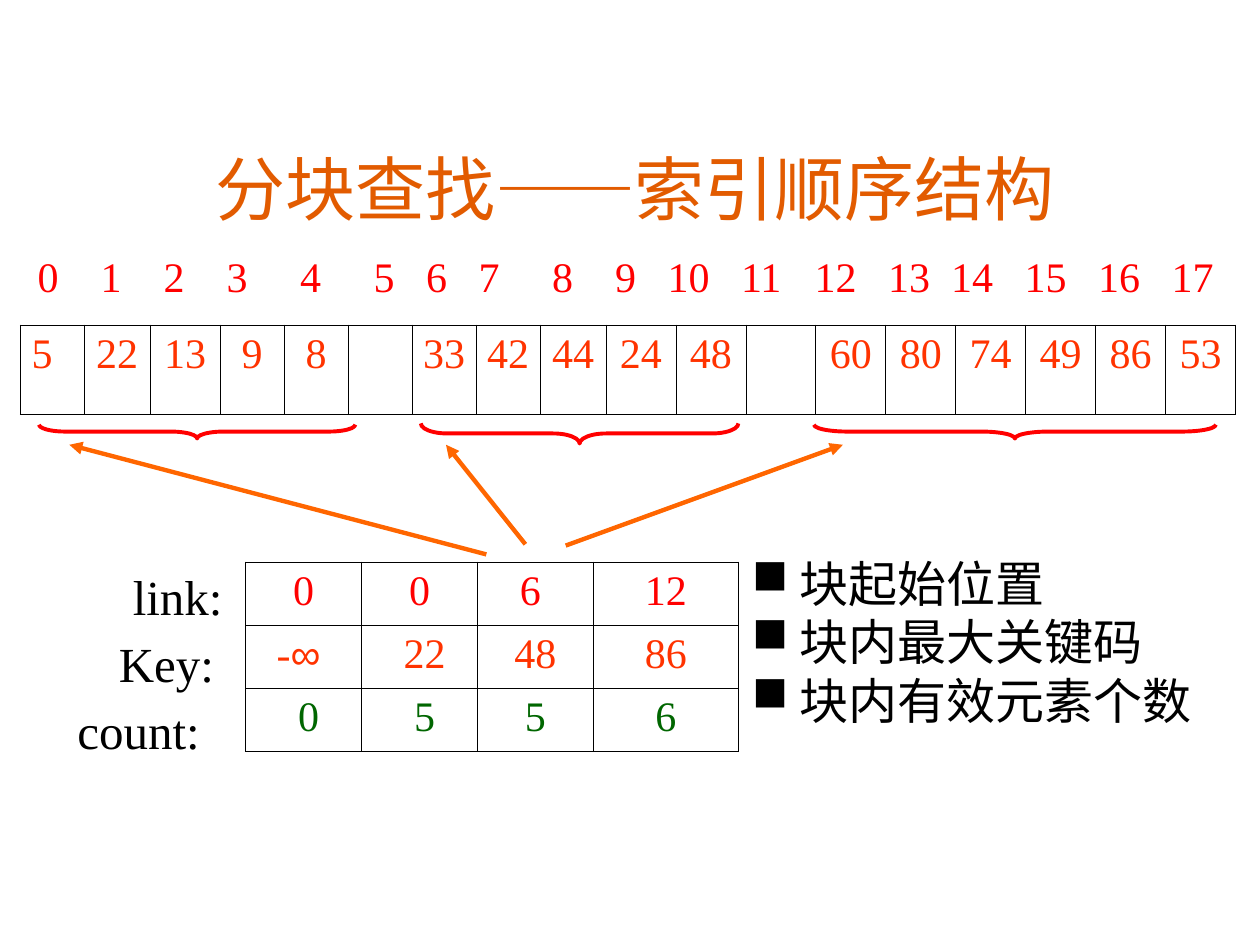
import dataclasses
import itertools

import lxml.etree
import pptx
import pptx.dml.color
import pptx.enum.shapes
import pptx.enum.text
import pptx.oxml.ns
import pptx.util

qn = pptx.oxml.ns.qn
ALIGN = pptx.enum.text.PP_ALIGN
ANCHOR = pptx.enum.text.MSO_ANCHOR
SHAPES = pptx.enum.shapes.MSO_SHAPE
SLIDE_WIDTH = pptx.util.Inches(10)
SLIDE_HEIGHT = pptx.util.Inches(7.5)
COLUMN = SLIDE_WIDTH / 100
ROW = SLIDE_HEIGHT / 75


@dataclasses.dataclass(frozen=True)
class Theme:
    """Colours, fonts and type sizes of the slide."""

    title: str = "E25B00"
    red: str = "FF0000"
    key: str = "FF3300"
    count: str = "006600"
    arrow: str = "FF6600"
    ink: str = "000000"
    serif: str = "Times New Roman"
    symbol: str = "Arial"
    heading: str = "Noto Sans CJK SC"
    note: str = "Comic Neue"
    title_size: int = 40
    label_size: int = 28
    value_size: int = 24


THEME = Theme()


def place(left, top, width, height):
    """Turn a box in grid columns and rows into slide lengths."""
    return round(left * COLUMN), round(top * ROW), round(width * COLUMN), round(height * ROW)


def rgb(colour):
    """Return the colour object of a hex string."""
    return pptx.dml.color.RGBColor.from_string(colour)


def style(paragraph, size, name, colour, align=ALIGN.CENTER):
    """Give a whole paragraph its font and alignment."""
    paragraph.alignment = align
    paragraph.font.size = pptx.util.Pt(size)
    paragraph.font.name = name
    paragraph.font.color.rgb = rgb(colour)


def add_title(slide, box, text):
    """Move and format the title placeholder."""
    title = slide.shapes.title
    title.left, title.top, title.width, title.height = place(*box)
    frame = title.text_frame
    frame.auto_size = pptx.enum.text.MSO_AUTO_SIZE.NONE
    frame.vertical_anchor = ANCHOR.BOTTOM
    frame.margin_top = frame.margin_bottom = 0
    frame.text = text
    style(frame.paragraphs[0], THEME.title_size, THEME.heading, THEME.title)


def add_text(slide, box, text):
    """Add a wrapping text box and return its frame."""
    frame = slide.shapes.add_textbox(*place(*box)).text_frame
    frame.word_wrap = True
    frame.text = text
    return frame


def add_indices(slide, box, gaps):
    """Number the array positions, with tab stops set by the gaps in half digits."""
    numbers = [str(number) for number in range(len(gaps) + 1)]
    paragraph = add_text(slide, box, "\t".join(numbers)).paragraphs[0]
    digit = pptx.util.Pt(THEME.value_size) / 2
    steps = [(len(number) + gap / 2) * digit for number, gap in zip(numbers, gaps)]
    stops = lxml.etree.SubElement(paragraph._p.get_or_add_pPr(), qn("a:tabLst"))
    for position in itertools.accumulate(steps):
        lxml.etree.SubElement(stops, qn("a:tab"), pos=str(round(position)), algn="l")
    style(paragraph, THEME.value_size, THEME.serif, THEME.red, ALIGN.LEFT)


def add_borders(cell):
    """Draw thin lines on the four sides of a cell."""
    properties = cell._tc.get_or_add_tcPr()
    for place_in_order, side in enumerate(("a:lnL", "a:lnR", "a:lnT", "a:lnB")):
        line = lxml.etree.Element(qn(side), w=str(pptx.util.Pt(0.45)))
        fill = lxml.etree.SubElement(line, qn("a:solidFill"))
        lxml.etree.SubElement(fill, qn("a:srgbClr"), val=THEME.ink)
        properties.insert(place_in_order, line)


def add_grid(slide, box, rows, weights, colours, margin, nudges):
    """Fill a ruled table, nudging the listed cells sideways by grid columns."""
    left, top, width, height = place(*box)
    table = slide.shapes.add_table(len(rows), len(weights), left, top, width, height).table
    table.first_row = table.horz_banding = False
    for column, weight in zip(table.columns, weights):
        column.width = round(width * weight / sum(weights))
    for row, values in enumerate(rows):
        for column, value in enumerate(values):
            cell = table.cell(row, column)
            nudge = nudges.get((row, column), 0)
            cell.margin_left = round((margin + 2 * max(nudge, 0)) * COLUMN)
            cell.margin_right = round((margin + 2 * max(-nudge, 0)) * COLUMN)
            cell.fill.background()
            add_borders(cell)
            paragraph = cell.text_frame.paragraphs[0]
            style(paragraph, THEME.value_size, THEME.serif, colours[row])
            for part in filter(None, value.partition("∞")):
                run = paragraph.add_run()
                run.text = part
                if part == "∞":
                    run.font.name = THEME.symbol


def add_brace(slide, box):
    """Lay a brace under a block, pointing down."""
    left, top, width, depth = box
    middle, centre = left + width / 2, top + depth / 2
    upright = (middle - depth / 2, centre - width / 2, depth, width)
    brace = slide.shapes.add_shape(SHAPES.LEFT_BRACE, *place(*upright))
    brace.rotation = 270
    brace.adjustments[0] = width / 12 / depth
    brace.shadow.inherit = False
    brace.fill.background()
    brace.line.color.rgb = rgb(THEME.red)
    brace.line.width = pptx.util.Pt(2.25)


def add_arrow(slide, start, end):
    """Point from the index table to a block."""
    ends = place(*start, *end)
    arrow = slide.shapes.add_connector(pptx.enum.shapes.MSO_CONNECTOR.STRAIGHT, *ends)
    arrow.line.color.rgb = rgb(THEME.arrow)
    arrow.line.width = pptx.util.Pt(2.5)
    lxml.etree.SubElement(arrow.line._get_or_add_ln(), qn("a:tailEnd"), type="triangle")
    lxml.etree.SubElement(arrow._element.spPr, qn("a:effectLst"))


def add_label(slide, box, text):
    """Name one row of the index table."""
    style(add_text(slide, box, text).paragraphs[0], THEME.label_size, THEME.serif, THEME.ink)


def add_notes(slide, box, notes):
    """List what each row of the index table means."""
    indent = round(3.8 * COLUMN)
    for paragraph in add_text(slide, box, "\n".join(notes)).paragraphs:
        properties = paragraph._p.get_or_add_pPr()
        properties.set("marL", str(indent))
        properties.set("indent", str(-indent))
        lxml.etree.SubElement(properties, qn("a:buChar"), char="■")
        style(paragraph, THEME.label_size, THEME.note, THEME.ink, ALIGN.LEFT)


def main():
    """Build the slide on blocked search and save it."""
    deck = pptx.Presentation()
    deck.slide_width, deck.slide_height = SLIDE_WIDTH, SLIDE_HEIGHT
    slide = deck.slides.add_slide(deck.slide_layouts[5])
    add_title(slide, (7.5, 9.9, 85.8, 8.3), "分块查找——索引顺序结构")
    add_indices(slide, (2, 19.4, 96, 5), (4, 4, 4, 5, 5, 3, 3, 5, 4, 3, 3, 3, 3, 2, 3, 3, 3))
    blocks = ["5", "22", "13", "9", "8", "", "33", "42", "44", "24", "48", "",
              "60", "80", "74", "49", "86", "53"]
    block_weights = [32, 33, 35] + [32] * 5 + [33] + [35] * 9
    add_grid(slide, (1.6, 25.8, 96.5, 7.1), [blocks], block_weights, [THEME.key], 0.4, {(0, 0): -0.8})
    for brace in ((3.1, 33.7, 25.1, 1.1), (33.4, 33.6, 25.2, 1.6), (64.6, 33.7, 31.9, 1.1)):
        add_brace(slide, brace)
    for start, end in (((38.6, 44), (5.5, 35.3)), ((41.7, 43.2), (35.4, 35.3)),
                       ((44.9, 43.3), (66.9, 35.3))):
        add_arrow(slide, start, end)
    index = [["0", "0", "6", "12"], ["-∞", "22", "48", "86"], ["0", "5", "5", "6"]]
    nudges = {(0, 2): -0.4, (1, 0): -0.4, (1, 1): 0.4, (2, 0): 0.4, (2, 1): 0.4}
    add_grid(slide, (19.5, 44.6, 39.1, 15), index, (4, 4, 4, 5),
             (THEME.red, THEME.key, THEME.count), 1, nudges)
    for label, box in (("link:", (6.2, 44.5, 15.8, 5.5)), ("Key:", (5.7, 49.8, 15, 5.5)),
                       ("count:", (3.5, 55.1, 15, 5.5))):
        add_label(slide, box, label)
    add_notes(slide, (58.7, 43.4, 38.6, 19.3), ("块起始位置", "块内最大关键码", "块内有效元素个数"))
    deck.save("out.pptx")


if __name__ == "__main__":
    main()
